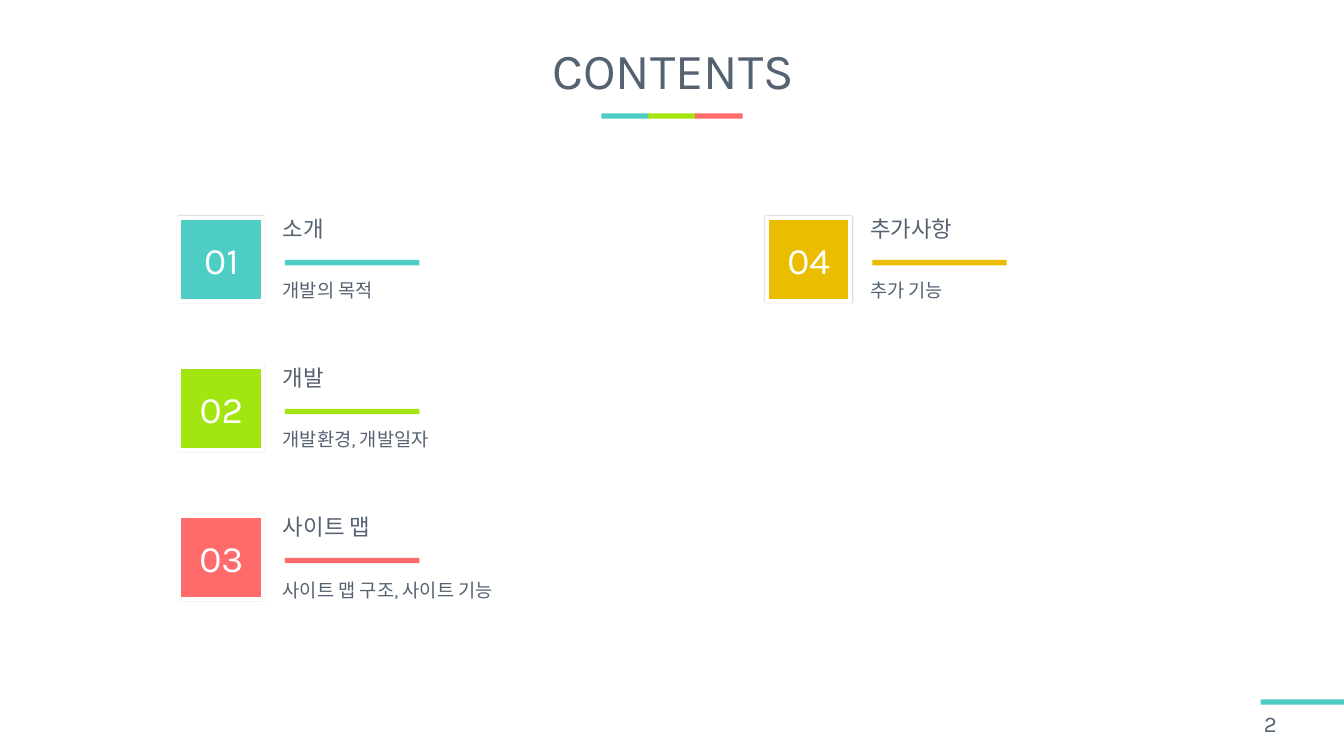
from dataclasses import dataclass

from lxml import etree
from pptx import Presentation
from pptx import util as u
from pptx.dml.color import RGBColor
from pptx.enum import shapes, text
from pptx.oxml import ns


@dataclass(frozen=True)
class Theme:
    font: str = "Karla"
    ink: str = "556272"
    white: str = "FFFFFF"
    teal: str = "4ECDC4"
    lime: str = "A3E511"
    coral: str = "FF6B6B"
    gold: str = "EABD00"
    title: int = 54
    number: int = 40
    heading: int = 24
    detail: int = 20


theme = Theme()
presentation = Presentation()
presentation.slide_width = u.Cm(50.8)
presentation.slide_height = u.Cm(28.58)
slide = presentation.slides.add_slide(presentation.slide_layouts[6])


def add_text(words, left, top, width, height, *, size, color=theme.ink,
             align=text.PP_ALIGN.LEFT, anchor=text.MSO_ANCHOR.TOP, spacing=1.0):
    box = slide.shapes.add_textbox(u.Cm(left), u.Cm(top), u.Cm(width), u.Cm(height))
    frame = box.text_frame
    frame.word_wrap = True
    frame.vertical_anchor = anchor
    paragraph = frame.paragraphs[0]
    paragraph.text = words
    paragraph.alignment = align
    paragraph.line_spacing = spacing
    paragraph.font.name = theme.font
    paragraph.font.size = u.Pt(size)
    paragraph.font.color.rgb = RGBColor.from_string(color)


def add_block(left, top, width, height, color):
    shape = slide.shapes.add_shape(
        shapes.MSO_SHAPE.RECTANGLE, u.Cm(left), u.Cm(top), u.Cm(width), u.Cm(height))
    shape.shadow.inherit = False
    shape.fill.solid()
    shape.fill.fore_color.rgb = RGBColor.from_string(color)
    shape.line.fill.background()
    return shape


bar_height = 0.2
for index, color in enumerate((theme.teal, theme.lime, theme.coral)):
    add_block(22.73 + index * 1.77, 4.29, 1.8, bar_height, color)
add_block(47.65, 26.44, 3.15, bar_height, theme.teal)

add_text("CONTENTS", 1.37, 0.97, 48.16, 3.56, size=theme.title,
         align=text.PP_ALIGN.CENTER, anchor=text.MSO_ANCHOR.MIDDLE, spacing=0.9)
add_text("2", 47.52, 26.67, 3.28, 1.35, size=theme.heading,
         anchor=text.MSO_ANCHOR.MIDDLE)

sections = [
    ("소개", "개발의 목적", theme.teal, 1.2),
    ("개발", "개발환경, 개발일자", theme.lime, 1.2),
    ("사이트 맵", "사이트 맵 구조, 사이트 기능", theme.coral, 1.3),
    ("추가사항", "추가 기능", theme.gold, 1.2),
]
rows_per_column = 3

for index, (heading, detail, color, detail_spacing) in enumerate(sections):
    column, row = divmod(index, rows_per_column)
    left = 6.78 + column * 22.2
    top = 8.23 + row * 5.63

    add_text(detail, left + 3.66, top + 2.01, 14.88, 1.57,
             size=theme.detail, spacing=detail_spacing)
    add_text(heading, left + 3.66, top - 0.53, 14.88, 2.08,
             size=theme.heading, spacing=1.3)
    add_block(left + 3.99, top + 1.6, 5.08, bar_height, color)

    tile = add_block(left, top, 3.15, 3.15, color)
    tile.line.color.rgb = RGBColor.from_string(theme.white)
    tile.line.width = u.Pt(4.5)
    effects = tile.element.spPr.find(ns.qn("a:effectLst"))
    shadow = etree.SubElement(effects, ns.qn("a:outerShdw"), blurRad=str(u.Pt(1)),
                              dist="0", dir="0", algn="ctr", rotWithShape="0")
    shade = etree.SubElement(shadow, ns.qn("a:srgbClr"), val="000000")
    etree.SubElement(shade, ns.qn("a:alpha"), val="15000")

    add_text(f"{index + 1:02}", left + 0.36, top + 0.6, 2.46, 1.96,
             size=theme.number, color=theme.white, align=text.PP_ALIGN.CENTER)

presentation.save("out.pptx")
